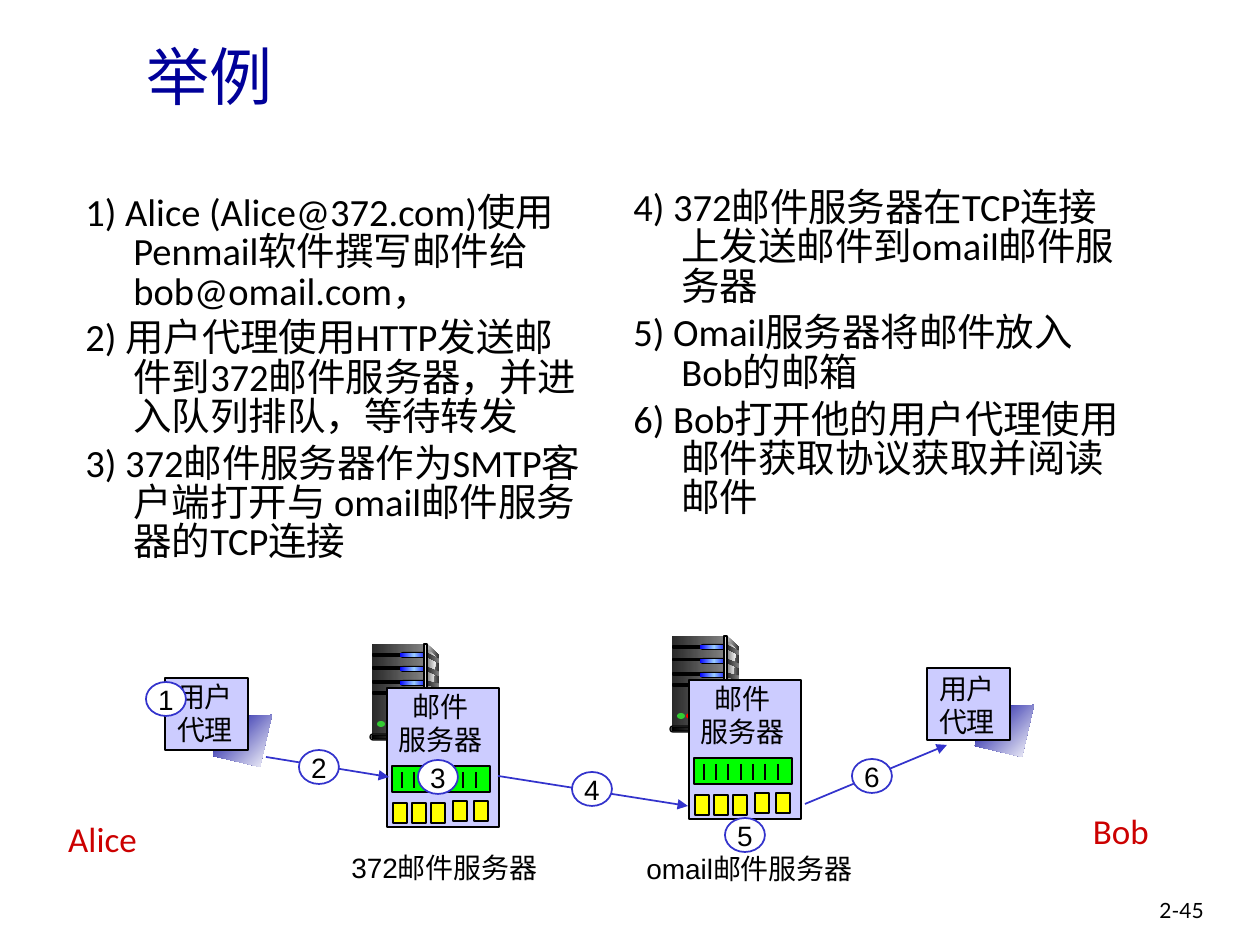
from copy import deepcopy
from lxml.etree import SubElement as sub
from pptx import Presentation
from pptx.dml.color import RGBColor as RGB
from pptx.enum.shapes import MSO_CONNECTOR as LINK, MSO_SHAPE as KIND
from pptx.enum.text import MSO_ANCHOR as ANCHOR, PP_ALIGN as ALIGN
from pptx.oxml.ns import qn
from pptx.util import Emu, Pt

PX = 914400 // 126
BLACK, WHITE = RGB(0, 0, 0), RGB(255, 255, 255)
NAVY, BLUE, RED = RGB(0, 0, 153), RGB(51, 51, 204), RGB(204, 0, 0)
LILAC, LIME, YELLOW = RGB(204, 204, 255), RGB(0, 255, 0), RGB(255, 255, 0)
COAL, DARK, GRAY = RGB(41, 41, 41), RGB(51, 51, 51), RGB(128, 128, 128)
PALE, MIST = RGB(221, 221, 221), RGB(248, 248, 248)
PURE, SKY = RGB(0, 0, 255), RGB(153, 204, 255)
GREEN, LED = RGB(51, 204, 51), RGB(255, 0, 0)
RECT, PILL, OVAL = KIND.RECTANGLE, KIND.ROUNDED_RECTANGLE, KIND.OVAL
CJK = "Noto Sans CJK SC"

deck = Presentation()
deck.slide_width, deck.slide_height = Emu(9144000), Emu(6858000)
shapes = deck.slides.add_slide(deck.slide_layouts[6]).shapes


def draw(kind, x, y, geo, fill, line=None, width=0.75, angle=0):
    """Draw a preset (geo: x, y, w, h) or, without kind, a polygon of points."""
    if kind is None:
        pts = [(x + a, y + b) for a, b in geo]
        pen = shapes.build_freeform(*pts[0], scale=PX)
        pen.add_line_segments(pts[1:], close=True)
        shape = pen.convert_to_shape()
    else:
        left, top, w, h = geo
        shape = shapes.add_shape(
            kind, *[v * PX for v in (x + left, y + top, w, h)])
    if kind == PILL:
        shape.adjustments[0] = 0.5
    shape.shadow.inherit = False
    if isinstance(fill, list):
        shape.fill.gradient()
        shape.fill.gradient_angle = angle
        stops = shape._element.spPr.find(qn("a:gradFill")).find(qn("a:gsLst"))
        if len(fill) == 3:
            stops.insert(1, deepcopy(stops[0]))
        for i, stop in enumerate(shape.fill.gradient_stops):
            stop.color.rgb = fill[i]
            stop.position = i / (len(fill) - 1)
    else:
        shape.fill.solid()
        shape.fill.fore_color.rgb = fill
    if line is None:
        shape.line.fill.background()
    else:
        shape.line.color.rgb = line
        shape.line.width = Pt(width)
    return shape


def write(shape, rows, size, face="Arial", color=BLACK, hang=0, wrap=True,
          gap=0, anchor=ANCHOR.TOP, **form):
    frame = shape.text_frame
    frame.word_wrap, frame.vertical_anchor = wrap, anchor
    for i, row in enumerate(rows):
        para = frame.add_paragraph() if i else frame.paragraphs[0]
        for name, val in form.items():
            setattr(para, name, val)
        if i and gap:
            para.space_before = Pt(gap)
        if hang:
            props = para._p.get_or_add_pPr()
            props.set("marL", str(hang * PX))
            props.set("indent", str(-hang * PX))
        run = para.add_run()
        run.text = row
        for name, val in {"size": Pt(size), "name": face}.items():
            setattr(run.font, name, val)
        run.font.color.rgb = color
        sub(run._r.get_or_add_rPr(), qn("a:ea"), typeface=CJK)


# Agents: a shaded flap behind a box
agents = [(165, 678, -5), (927, 668, -3)]
for x, y, _ in agents:
    flap = [(107, 37), (57, 39), (48, 78), (95, 89)]
    draw(None, x, y, flap, [NAVY, WHITE], angle=315)
    draw(RECT, x, y, (0, 0, 83, 72), LILAC, BLACK, 1.5)

# Server towers
for x, y in [(672, 636), (372, 644)]:
    draw(None, x, y, [(55, 0), (67, 11), (67, 87), (53, 91)], [PALE, DARK])
    draw(RECT, x, y, (0, 0, 52, 91), [COAL, GRAY])
    draw(None, x, y, [(55, 5), (64, 13), (59, 60), (55, 88)], [GRAY, MIST])
    for top in (10, 23, 37, 48):
        draw(RECT, x, y, (1, top, 29, 2), BLACK, BLACK)
    for top, drop in [(9, 6), (23, 5), (37, 3)]:
        draw(PILL, x, y, (28, top - 1, 29, 6), BLACK)
        draw(PILL, x, y, (28, top, 28, 4), [PURE, SKY, PURE])
        vent = [(55, top), (67, top + drop), (67, top + drop + 4), (55, top + 4)]
        draw(None, x, y, vent, [COAL, GRAY])
    draw(RECT, x, y, (52, 0, 3, 91), [DARK, PALE, DARK], BLACK)
    draw(PILL, x, y, (-2, 90, 59, 6), PALE, BLACK)
    draw(PILL, x, y, (0, 91, 53, 4), [BLACK, GRAY], BLACK)
    for left, color in [(5, GREEN), (14, LED)]:
        draw(OVAL, x, y, (left, 77, 8, 6), color)

# Mail servers: queue with ticks, mailboxes
lines, labels = [], []
for x, y in [(387, 688), (689, 680)]:
    draw(RECT, x, y, (0, 0, 112, 139), LILAC, BLACK, 1.5)
    draw(RECT, x, y, (5, 78, 98, 26), LIME, BLACK, 1.5)
    for i in range(7):
        tick = x + 15 + i * 37 // 3
        lines.append((tick, y + 84, tick, y + 100, BLACK, 1.5))
    for left, top in [(6, 115), (25, 115), (44, 115), (66, 113), (87, 113)]:
        draw(RECT, x, y, (left, top, 14, 20), YELLOW, BLACK)
    labels.append(((x - 2, y - 5, 111, 81), ["邮件", "服务器"]))
labels += [((x - 1, y + dy, 82, 81), ["用户", "代理"]) for x, y, dy in agents]

# Ticks and arrows
lines += [(266, 757, 389, 777, BLUE, 1), (498, 776, 688, 806, BLUE, 1),
          (805, 804, 947, 745, BLUE, 1)]
for *ends, color, width in lines:
    link = shapes.add_connector(LINK.STRAIGHT, *[v * PX for v in ends])
    link.line.color.rgb = color
    link.line.width = Pt(width)
    if color == BLUE:
        sub(link.line._get_or_add_ln(), qn("a:tailEnd"), type="triangle")
    sub(link._element.spPr, qn("a:effectLst"))

# Text blocks
steps = dict(size=22, face="Calibri", hang=48, gap=4.4, line_spacing=0.85)
mid = dict(wrap=False, alignment=ALIGN.CENTER)
name = dict(size=20, face="Calibri", color=RED, **mid)
host = dict(size=16, hang=48)
blocks = [(box, rows, dict(size=16, **mid)) for box, rows in labels] + [
    ((134, 0, 1126, 150), ["举例"],
     dict(size=36, face=CJK, color=NAVY, anchor=ANCHOR.MIDDLE)),
    ((73, 189, 525, 444),
     ["1) Alice (Alice@372.com)使用Penmail软件撰写邮件给 bob@omail.com，",
      "2) 用户代理使用HTTP发送邮件到372邮件服务器，并进入队列排队，等待转发",
      "3) 372邮件服务器作为SMTP客户端打开与 omail邮件服务器的TCP连接"], steps),
    ((621, 184, 525, 450),
     ["4) 372邮件服务器在TCP连接上发送邮件到omail邮件服务器",
      "5) Omail服务器将邮件放入Bob的邮箱",
      "6) Bob打开他的用户代理使用邮件获取协议获取并阅读邮件"], steps),
    ((339, 844, 214, 47), ["372邮件服务器"], host),
    ((634, 845, 234, 47), ["omail邮件服务器"], host),
    ((54, 811, 97, 55), ["Alice"], name),
    ((1080, 803, 82, 55), ["Bob"], name),
    ((1147, 891, 93, 38), ["2-45"], dict(size=12, face="Lato")),
]
for box, rows, form in blocks:
    write(shapes.add_textbox(*[v * PX for v in box]), rows, **form)

# Step numbers
spots = [(146, 682), (299, 750), (418, 760), (572, 772), (725, 818), (852, 759)]
for i, (x, y) in enumerate(spots, 1):
    disc = draw(OVAL, x, y, (0, 0, 40, 34), WHITE, BLUE, 1)
    write(disc, [str(i)], 16, anchor=ANCHOR.MIDDLE, **mid)

deck.save("out.pptx")
